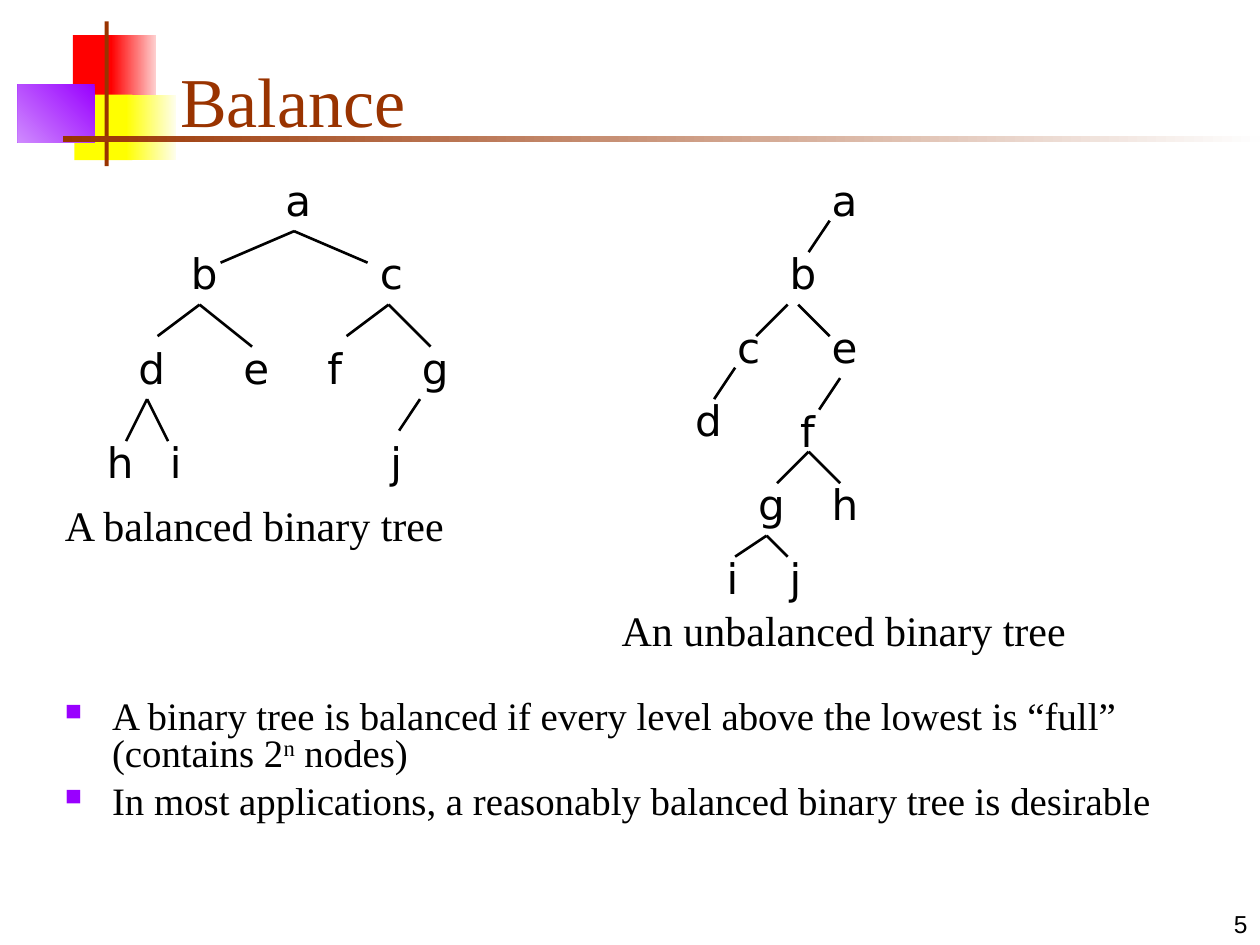
from lxml import etree
from pptx import Presentation
from pptx import util as u
from pptx.dml.color import RGBColor
from pptx.enum import shapes, text
from pptx.oxml.ns import qn

SERIF, SANS = "Times New Roman", "DejaVu Sans"
BLACK, BROWN, PURPLE = "000000", "993300", "9900FF"
GRID = 2.54 / 12  # tree layout step in cm


def color(hex_code):
    return RGBColor.from_string(hex_code)


def style(box, size, font, hex_code):
    for para in box.text_frame.paragraphs:
        for span in para.runs:
            span.font.size = u.Pt(size)
            span.font.name = font
            span.font.color.rgb = color(hex_code)


def add_text(parent, left, top, width, height, words, size, font, hex_code=BLACK):
    box = parent.shapes.add_textbox(u.Cm(left), u.Cm(top), u.Cm(width), u.Cm(height))
    box.text_frame.word_wrap = True
    box.text_frame.text = words
    style(box, size, font, hex_code)
    return box


def add_bar(page, left, top, width, height, fills, angle=180):
    """Draw a borderless rectangle: one fill is solid, two make a gradient."""
    bar = page.shapes.add_shape(shapes.MSO_SHAPE.RECTANGLE,
                                u.Cm(left), u.Cm(top), u.Cm(width), u.Cm(height))
    bar.shadow.inherit = False
    bar.line.fill.background()
    if len(fills) == 1:
        bar.fill.solid()
        bar.fill.fore_color.rgb = color(fills[0])
    else:
        bar.fill.gradient()
        bar.fill.gradient_angle = angle
        for stop, hex_code in zip(bar.fill.gradient_stops, fills):
            stop.color.rgb = color(hex_code)


def add_header(page, left, top, title):
    # Coloured blocks, post and fading rule
    for x, y, width, height, *fills in (
        (1.11, 0.28, 0.89, 1.32, "FF0000"),
        (1.88, 0.28, 0.91, 1.32, "FED0D0", "FF0000"),
        (1.14, 1.48, 1.17, 1.32, "FFFF00"),
        (2.18, 1.48, 1.02, 1.32, "FEFEEF", "FFFF00"),
    ):
        add_bar(page, left + x, top + y, width, height, fills)
    add_bar(page, left, top + 1.27, 1.55, 1.17, [PURPLE, "CF8AFE"], angle=225)
    add_bar(page, left + 1.75, top, 0.08, 2.92, [BROWN])
    add_bar(page, left + 0.91, top + 2.31, 24.13, 0.13, ["FEFEFE", BROWN])

    # Title
    box = add_text(page, left + 3.02, top + 0.21, 21.64, 2.34, title, 40, SERIF, BROWN)
    box.text_frame.vertical_anchor = text.MSO_ANCHOR.BOTTOM


def add_tree(page, left, top, nodes, branches, caption):
    """Draw a tree; nodes, branches and caption are in grid steps from left, top."""
    tree = page.shapes.add_group_shape()

    def place(x, y):
        return left + x * GRID, top + y * GRID

    def add_label(words, x, y, width, font):
        box = add_text(tree, *place(x, y), width * GRID, 6 * GRID, words, 24, font)
        box.text_frame.auto_size = text.MSO_AUTO_SIZE.SHAPE_TO_FIT_TEXT
        box.text_frame.paragraphs[0].space_before = u.Pt(15)

    # Nodes
    for name, (x, y) in nodes.items():
        add_label(name, x, y, 5, SANS)

    # Branches
    for start, *ends in branches:
        for end in ends:
            points = [u.Cm(value) for value in place(*start) + place(*end)]
            branch = tree.shapes.add_connector(shapes.MSO_CONNECTOR.STRAIGHT, *points)
            branch.line.color.rgb = color(BLACK)
            branch.line.width = u.Pt(1.5)
            etree.SubElement(branch._element.spPr, qn("a:effectLst"))

    # Caption
    words, y, width = caption
    add_label(words, 0, y, width, SERIF)


def add_bullet(para):
    props = para._p.get_or_add_pPr()
    props.set("marL", str(u.Cm(0.95)))
    props.set("indent", str(u.Cm(-0.95)))
    tint = etree.SubElement(props, qn("a:buClr"))
    etree.SubElement(tint, qn("a:srgbClr"), val=PURPLE)
    etree.SubElement(props, qn("a:buSzPct"), val="60000")
    etree.SubElement(props, qn("a:buChar"), char="■")


def add_body(page, left, top, width, height):
    box = add_text(page, left, top, width, height, "", 22.2, SERIF)
    first = box.text_frame.paragraphs[0]
    second = box.text_frame.add_paragraph()
    for words in ("A binary tree is balanced if every level above the lowest is "
                  "“full” (contains 2", "n", " nodes)"):
        first.add_run().text = words
    second.text = "In most applications, a reasonably balanced binary tree is desirable"
    style(box, 22.2, SERIF, BLACK)
    first.runs[1]._r.get_or_add_rPr().set("baseline", "30000")
    for para in (first, second):
        para.line_spacing = 0.8
        para.space_before = u.Pt(6)
        add_bullet(para)


def add_page_number(page, left, top, width, height, number):
    box = add_text(page, left, top, width, height, number, 14, "Arial")
    box.text_frame.vertical_anchor = text.MSO_ANCHOR.BOTTOM
    box.text_frame.paragraphs[0].alignment = text.PP_ALIGN.RIGHT


def main():
    deck = Presentation()
    deck.slide_width, deck.slide_height = u.Cm(25.4), u.Cm(19.05)
    page = deck.slides.add_slide(deck.slide_layouts[6])

    add_header(page, 0.36, 0.43, "Balance")
    add_body(page, 1.06, 14, 23.81, 3.02)
    add_tree(
        page, 1.06, 3.39,
        nodes={"a": (21, 0), "b": (12, 7), "c": (30, 7), "d": (7, 16), "e": (17, 16),
               "f": (25, 16), "g": (34, 16), "h": (4, 25), "i": (10, 25), "j": (31, 25)},
        branches=[((23, 6), (16, 9), (30, 9)),
                  ((14, 13), (10, 16), (19, 17)),
                  ((32, 13), (28, 16), (36, 17)),
                  ((9, 22), (7, 26), (11, 26)),
                  ((35, 22), (33, 25))],
        caption=("A balanced binary tree", 31, 41),
    )
    add_tree(
        page, 12.28, 3.39,
        nodes={"a": (20, 0), "b": (16, 7), "c": (11, 14), "d": (7, 21), "e": (20, 14),
               "f": (17, 22), "g": (13, 29), "h": (20, 29), "i": (10, 36), "j": (16, 36)},
        branches=[((21, 5), (19, 8)),
                  ((17, 13), (14, 16)),
                  ((12, 19), (10, 22)),
                  ((18, 13), (21, 16)),
                  ((22, 20), (20, 23)),
                  ((19, 27), (16, 30), (22, 30)),
                  ((15, 35), (12, 37), (17, 37))],
        caption=("An unbalanced binary tree", 41, 45),
    )
    add_page_number(page, 20.11, 17.78, 5.29, 1.27, "5")
    deck.save("out.pptx")


if __name__ == "__main__":
    main()
